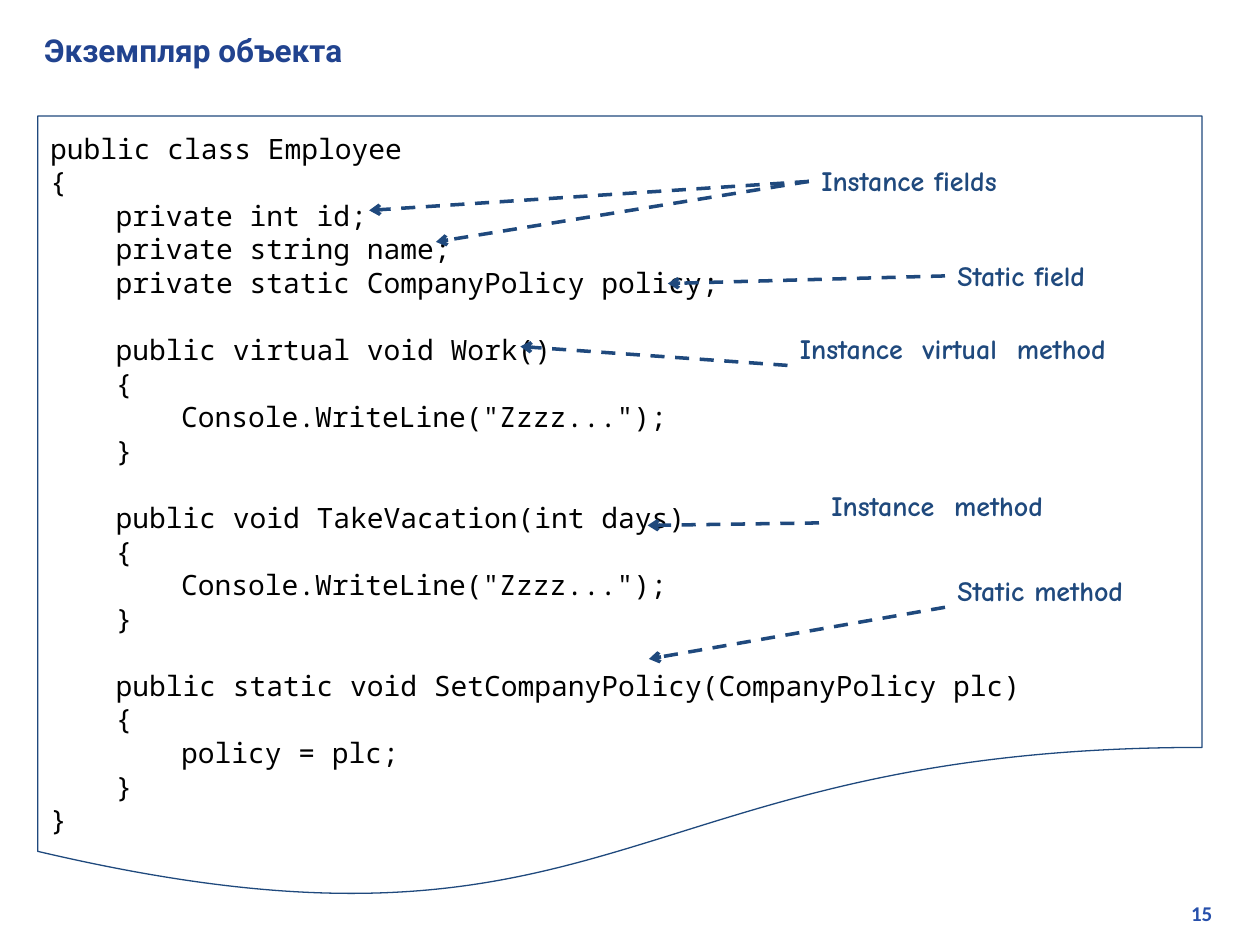
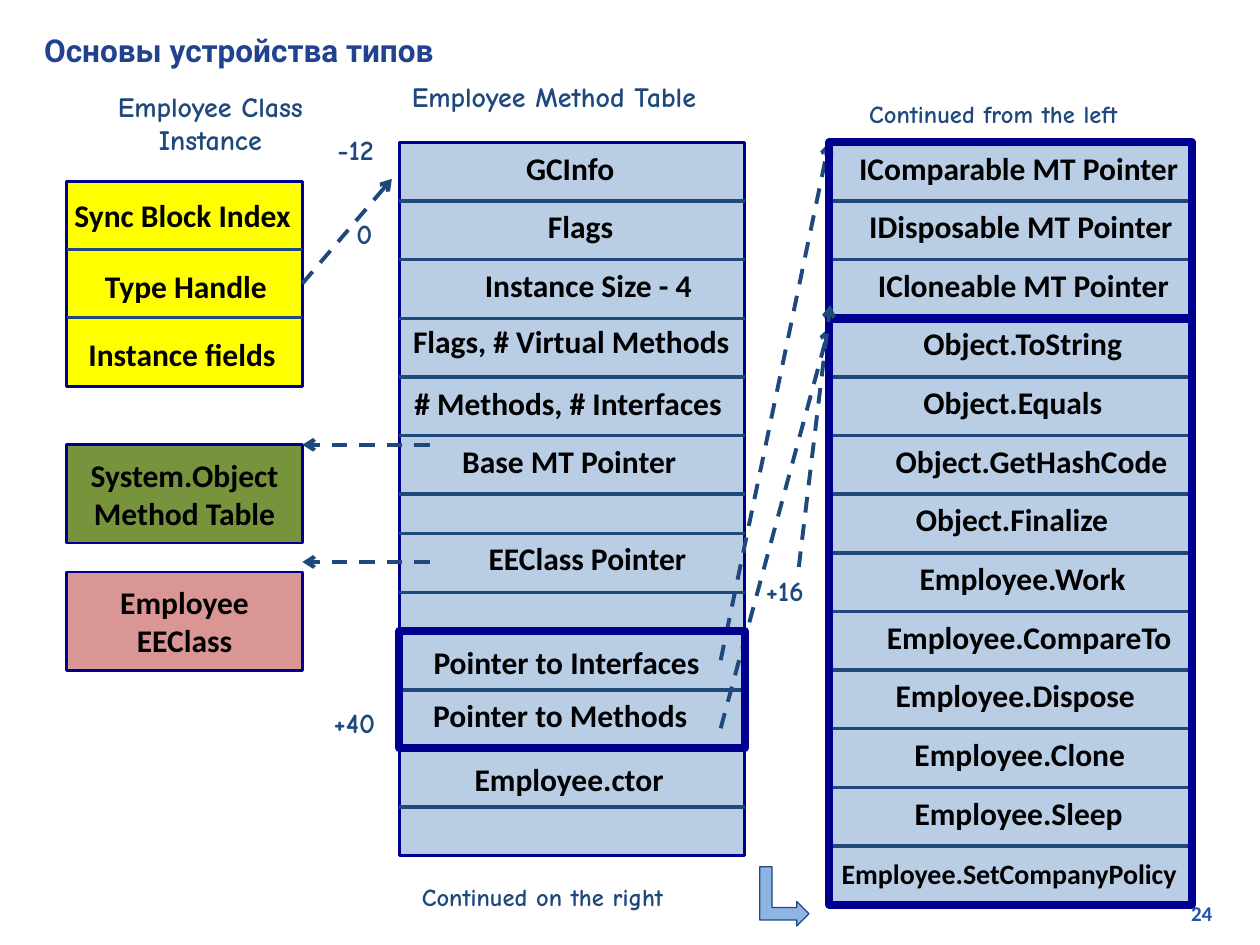
from itertools import accumulate

from lxml import etree
from pptx import Presentation
from pptx.dml.color import RGBColor
from pptx.enum.dml import MSO_LINE
from pptx.enum.shapes import MSO_CONNECTOR, MSO_SHAPE
from pptx.enum.text import MSO_ANCHOR, MSO_AUTO_SIZE, PP_ALIGN
from pptx.oxml.ns import qn
from pptx.util import Inches, Pt

NAVY = RGBColor(0x1F, 0x49, 0x7D)
INK = RGBColor(0x00, 0x00, 0x90)
TITLE = RGBColor(0x21, 0x43, 0x8F)
PAGE = RGBColor(0x27, 0x50, 0xAB)
BLACK = RGBColor(0, 0, 0)
WHITE = RGBColor(0xFF, 0xFF, 0xFF)
YELLOW = RGBColor(0xFF, 0xFF, 0)
GREEN = RGBColor(0x77, 0x93, 0x3C)
PINK = RGBColor(0xD9, 0x96, 0x94)
PALE = RGBColor(0xB9, 0xCD, 0xE5)
SKY = RGBColor(0x8E, 0xB4, 0xE3)

LEFT, CENTER, RIGHT = PP_ALIGN.LEFT, PP_ALIGN.CENTER, PP_ALIGN.RIGHT
MIDDLE, TOP = MSO_ANCHOR.MIDDLE, MSO_ANCHOR.TOP
GROW, FIXED = MSO_AUTO_SIZE.SHAPE_TO_FIT_TEXT, MSO_AUTO_SIZE.NONE
RECT, DOC, BENT = MSO_SHAPE.RECTANGLE, MSO_SHAPE.FLOWCHART_DOCUMENT, MSO_SHAPE.BENT_UP_ARROW
STRAIGHT, DASH = MSO_CONNECTOR.STRAIGHT, MSO_LINE.DASH

STYLES = {
    "title": {"name": "Roboto", "size": Pt(18), "bold": True, "color": TITLE},
    "page": {"name": "Calibri", "size": Pt(12), "bold": True, "color": PAGE},
    "note": {"name": "Comic Neue", "size": Pt(16), "bold": True, "color": NAVY},
    "small": {"name": "Comic Neue", "size": Pt(14), "bold": True, "color": NAVY},
    "cell": {"name": "Calibri", "size": Pt(18), "bold": True, "color": BLACK},
    "tight": {"name": "Calibri", "size": Pt(16), "bold": True, "color": BLACK},
    "mono": {"name": "Noto Sans Mono", "size": Pt(16), "bold": False, "color": BLACK},
}
CODE_LINE = Pt(19.2)
CODE_STEP = Inches(0.13)

CODE = """public class Employee
{
    private int id;
    private string name;
    private static CompanyPolicy policy;

    public virtual void Work()
    {
        Console.WriteLine("Zzzz...");
    }

    public void TakeVacation(int days)
    {
        Console.WriteLine("Zzzz...");
    }

    public static void SetCompanyPolicy(CompanyPolicy plc)
    {
        policy = plc;
    }
}"""


class Deck:
    def __init__(self):
        self.prs = Presentation()
        self.prs.slide_width, self.prs.slide_height = Inches(10), Inches(7.5)
        self.slide = None

    def begin(self, title, number):
        """Add a slide with its title and page number."""
        self.slide = self.prs.slides.add_slide(self.prs.slide_layouts[5])
        head = self.slide.shapes.title
        head.left, head.top, head.width, head.height = map(Inches, (0.25, 0.2, 9.45, 0.39))
        head.text_frame.auto_size = FIXED
        head.text_frame.vertical_anchor = MIDDLE
        self.put(head.text_frame, title, "title", LEFT)
        self.label(number, 7.6, 7.1, 2.12, 0.3, "page", RIGHT, wrap=True)

    def put(self, frame, words, style, align):
        """Fill a text frame, one paragraph a line."""
        for i, row in enumerate(words.split("\n")):
            para = frame.add_paragraph() if i else frame.paragraphs[0]
            para.alignment = align
            self.span(para, row, style)

    def span(self, para, words, style):
        """Add one styled run to a paragraph."""
        part = para.add_run()
        part.text = words
        for key, value in STYLES[style].items():
            if key == "color":
                part.font.color.rgb = value
            else:
                setattr(part.font, key, value)

    def label(self, words, x, y, w, h=0.37, style="note", align=LEFT, wrap=False):
        box = self.slide.shapes.add_textbox(*map(Inches, (x, y, w, h)))
        box.text_frame.word_wrap = wrap
        box.text_frame.auto_size = GROW
        self.put(box.text_frame, words, style, align)

    def shape(self, x, y, w, h, fill=None, line=INK, weight=1.5, kind=RECT):
        item = self.slide.shapes.add_shape(kind, *map(Inches, (x, y, w, h)))
        item.shadow.inherit = False
        if fill is None:
            item.fill.background()
        else:
            item.fill.solid()
            item.fill.fore_color.rgb = fill
        item.line.color.rgb = line
        item.line.width = Pt(weight)
        return item

    def line(self, start, end, weight=2.0):
        item = self.slide.shapes.add_connector(STRAIGHT, *map(Inches, (*start, *end)))
        item.line.color.rgb = NAVY
        item.line.width = Pt(weight)
        etree.SubElement(item._element.spPr, qn("a:effectLst"))
        return item

    def arrow(self, start, end, weight=2.25):
        item = self.line(start, end, weight)
        item.line.dash_style = DASH
        etree.SubElement(item.get_or_add_ln(), qn("a:tailEnd"), type="arrow")

    def stack(self, x, y, w, rows, fill):
        """Draw a box split into rows; return the top of each row."""
        self.shape(x, y, w, sum(rows), fill)
        tops = list(accumulate(rows[:-1], initial=y))
        for top in tops[1:]:
            self.line((x, top), (x + w, top))
        return tops

    def sheet(self, words, x, y, w, h):
        """Draw a page of code, turning blank lines and indents into spacing."""
        frame = self.shape(x, y, w, h, WHITE, NAVY, 0.75, DOC).text_frame
        frame.word_wrap = True
        frame.vertical_anchor = TOP
        frame.margin_top = Inches(0.12)
        para, gap = frame.paragraphs[0], 0
        for row in words.split("\n"):
            if not row:
                gap = CODE_LINE
                continue
            if para.runs:
                para = frame.add_paragraph()
            para.alignment = LEFT
            para.line_spacing = CODE_LINE
            para.space_before = gap
            bare = row.lstrip()
            props = para._p.get_or_add_pPr()
            props.set("marL", str((len(row) - len(bare)) * CODE_STEP))
            props.set("indent", "0")
            self.span(para, bare, "mono")
            gap = 0


def draw_code(deck):
    deck.begin("Экземпляр объекта", "15")
    deck.sheet(CODE, 0.3, 0.92, 9.24, 6.25)
    # label, place and width, then arrow start height and arrow ends
    notes = [
        ("Instance fields", 6.42, 1.25, 2.15, 1.44, [(2.93, 1.67), (3.46, 1.92)]),
        ("Static field", 7.5, 2, 1.68, 2.19, [(5.3, 2.25)]),
        ("Instance  virtual  method", 6.25, 2.58, 3.18, 2.9, [(4.13, 2.75)]),
        ("Instance  method", 6.5, 3.83, 2.27, 4.15, [(5.14, 4.17)]),
        ("Static method", 7.5, 4.5, 1.9, 4.82, [(5.15, 5.23)]),
    ]
    for words, x, y, w, start, ends in notes:
        deck.label(words, x, y, w)
        for end in ends:
            deck.arrow((x, start), end, 2)


def draw_types(deck):
    deck.begin("Основы устройства типов", "24")
    top = 1.13
    row = 6.05 / 13

    deck.stack(0.53, 1.44, 1.87, [0.54, 0.54, 0.55], YELLOW)
    for words, x, y, w in [
        ("Sync Block Index", 0.47, 1.51, 1.96),
        ("Type Handle ", 0.72, 2.07, 1.51),
        ("Instance fields", 0.59, 2.61, 1.71),
    ]:
        deck.label(words, x, y, w, 0.4, "cell", CENTER)

    for words, y, fill in [
        ("System.Object Method Table", 3.53, GREEN),
        ("Employee EEClass", 4.54, PINK),
    ]:
        frame = deck.shape(0.53, y, 1.87, 0.78, fill).text_frame
        frame.word_wrap = True
        frame.vertical_anchor = MIDDLE
        deck.put(frame, words, "cell", CENTER)

    rows = [row] * 6 + [0.31, 0.47, 0.31, row, row, 0.46, 0.39]
    tops = deck.stack(3.17, top, 2.74, rows, PALE)
    # row, label, left, width, shift down, alignment
    for i, words, x, w, shift, align in [
        (0, "GCInfo", 4.07, 0.91, 0, CENTER),
        (1, "Flags", 4.25, 0.72, 0, LEFT),
        (2, "Instance Size - 4", 3.75, 1.87, 0, LEFT),
        (3, "Flags, # Virtual Methods", 3.18, 2.74, -0.02, LEFT),
        (4, "# Methods, # Interfaces", 3.19, 2.68, 0.01, LEFT),
        (5, "Base MT Pointer", 3.57, 1.93, 0, LEFT),
        (7, "EEClass Pointer", 3.78, 1.8, 0, LEFT),
        (9, "Pointer to Interfaces ", 3.33, 2.39, 0.04, CENTER),
        (10, "Pointer to Methods ", 3.33, 2.29, 0, CENTER),
        (11, "Employee.ctor ", 3.65, 1.79, 0.04, CENTER),
    ]:
        deck.label(words, x, tops[i] + shift, w, 0.4, "cell", align)

    slots = [
        ("IComparable MT Pointer", 6.72, 2.77),
        ("IDisposable MT Pointer", 6.8, 2.64),
        ("ICloneable MT Pointer", 6.87, 2.54),
        ("Object.ToString", 7.23, 1.84),
        ("Object.Equals", 7.23, 1.64),
        ("Object.GetHashCode", 7.01, 2.39),
        ("Object.Finalize", 7.17, 1.75),
        ("Employee.Work", 7.2, 1.88),
        ("Employee.CompareTo", 6.94, 2.52),
        ("Employee.Dispose", 7.01, 2.13),
        ("Employee.Clone", 7.16, 1.9),
        ("Employee.Sleep", 7.16, 1.88),
    ]
    tops = deck.stack(6.59, top, 2.87, [row] * 13, PALE)
    for y, (words, x, w) in zip(tops, slots):
        deck.label(words, x, y, w, 0.4, "cell")
    deck.label("Employee.SetCompanyPolicy ", 6.54, 6.75, 2.95, 0.37, "tight", RIGHT)

    deck.label("Employee Class\nInstance", 0.6, 0.66, 2.14, 0.64, align=CENTER)
    for words, x, y, w in [
        ("Employee Method Table", 3.17, 0.58, 3.23),
        ("-12", 2.58, 1, 0.67),
        ("0", 2.73, 1.67, 0.42),
        ("+40", 2.55, 5.55, 0.72),
        ("+16", 5.98, 4.5, 0.72),
    ]:
        deck.label(words, x, y, w)
    deck.label("Continued on the right", 3.25, 6.95, 2.87, 0.34, "small")
    deck.label("Continued from the left", 6.8, 0.74, 2.88, 0.34, "small")
    deck.shape(5.99, 6.92, 0.47, 0.39, SKY, NAVY, 0.75, BENT).rotation = 90

    for start, end in [
        ((3.41, 3.53), (2.4, 3.53)),
        ((3.41, 4.46), (2.4, 4.46)),
        ((5.72, 5.24), (6.58, 1.13)),
        ((5.72, 5.78), (6.58, 2.6)),
    ]:
        deck.arrow(start, end)
    for x, y, w, h in [
        (3.17, 5.01, 2.74, 0.93),
        (6.58, 1.13, 2.88, 1.4),
        (6.58, 2.52, 2.88, 4.66),
    ]:
        deck.shape(x, y, w, h, weight=4.5)
    deck.arrow((6.34, 4.5), (6.59, 2.42))
    deck.arrow((2.4, 2.25), (3.11, 1.42))


def main():
    deck = Deck()
    draw_code(deck)
    draw_types(deck)
    deck.prs.save("out.pptx")


if __name__ == "__main__":
    main()
